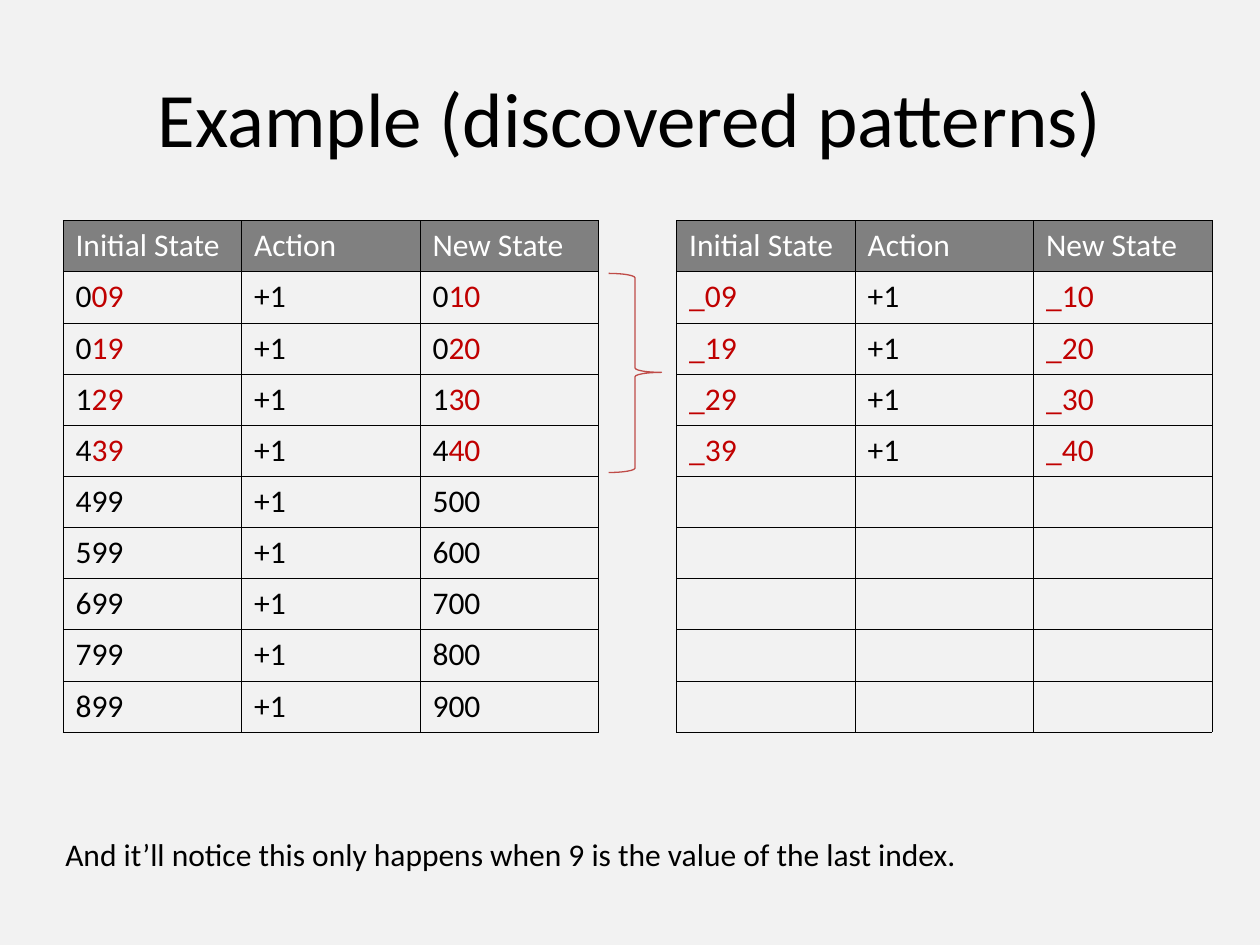
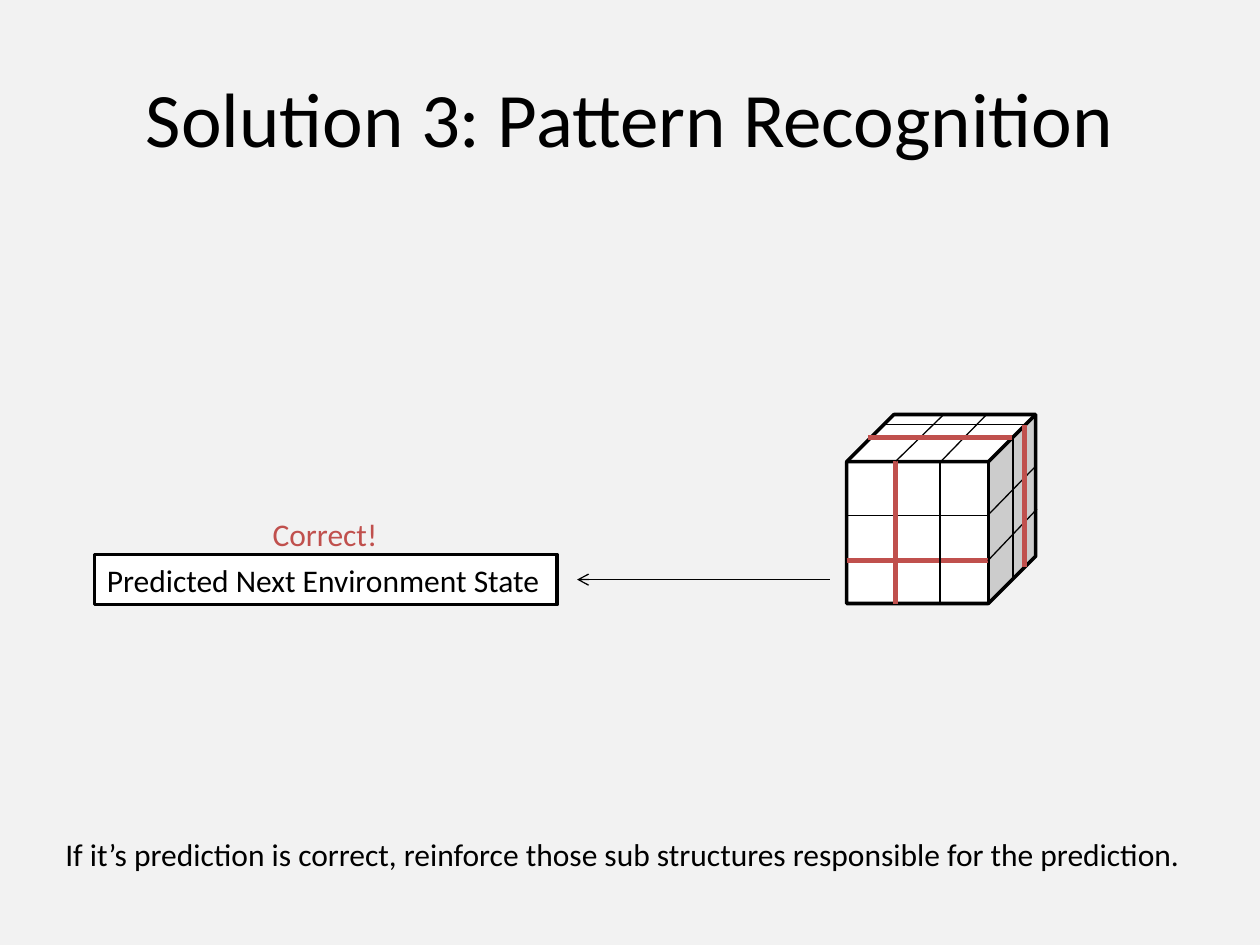
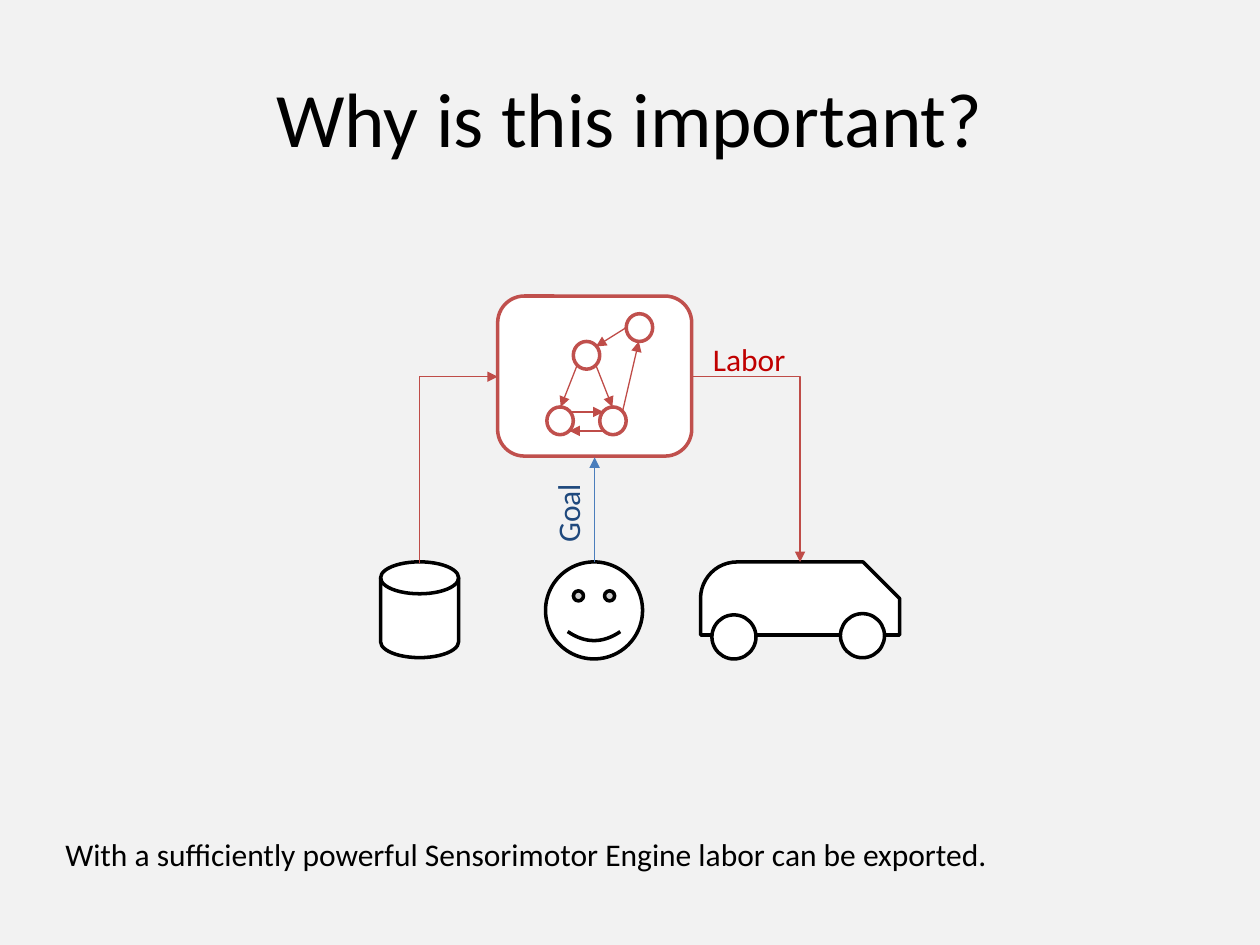
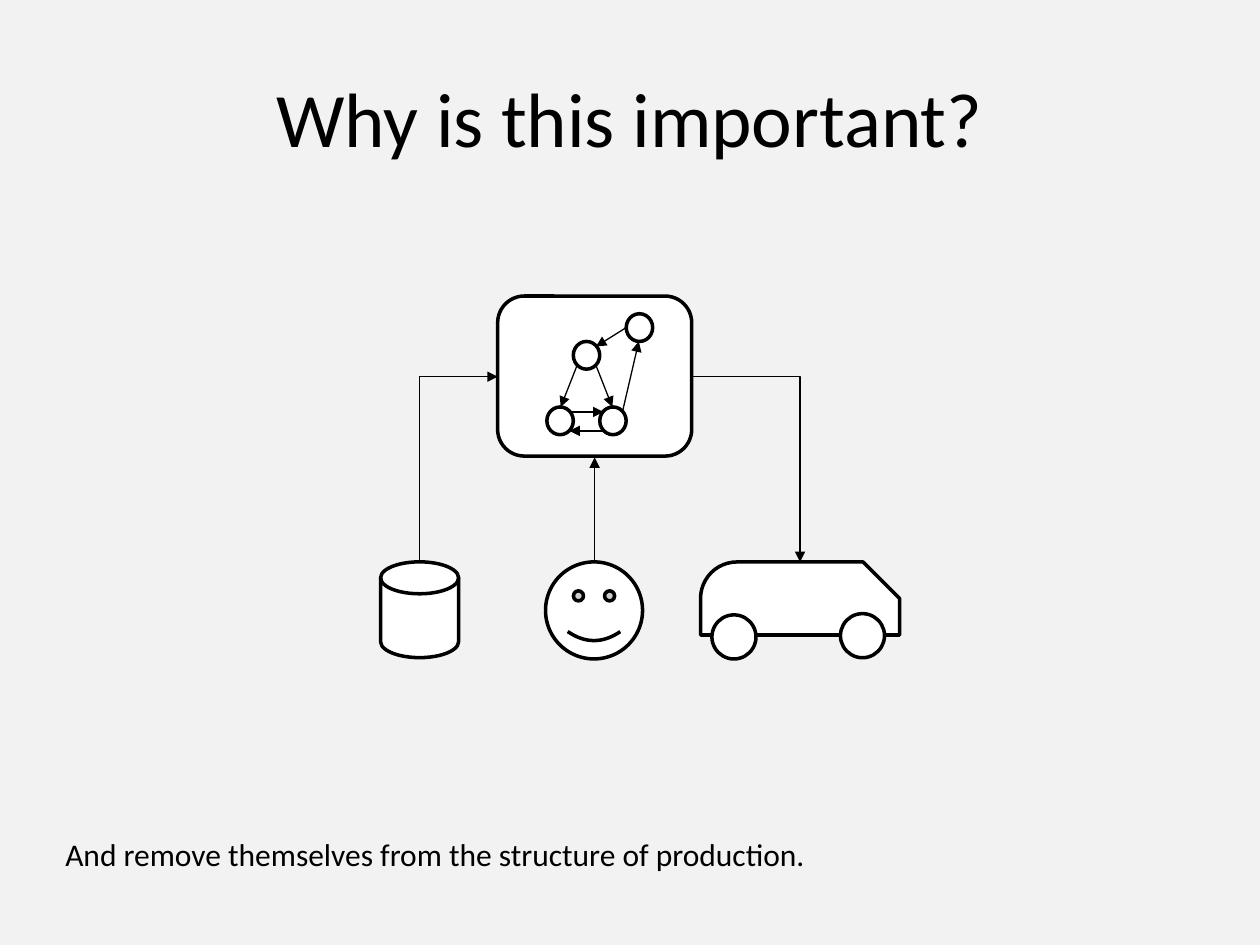
from lxml import etree
from pptx import Presentation
from pptx.dml.color import RGBColor
from pptx.enum.shapes import MSO_CONNECTOR, MSO_SHAPE
from pptx.enum.text import MSO_ANCHOR, MSO_AUTO_SIZE, PP_ALIGN
from pptx.oxml.ns import qn
from pptx.util import Inches, Pt

STRAIGHT, ELBOW = MSO_CONNECTOR.STRAIGHT, MSO_CONNECTOR.ELBOW
LEFT, CENTER = PP_ALIGN.LEFT, PP_ALIGN.CENTER
TOP, MIDDLE = MSO_ANCHOR.TOP, MSO_ANCHOR.MIDDLE
GROW, FIXED = MSO_AUTO_SIZE.SHAPE_TO_FIT_TEXT, MSO_AUTO_SIZE.NONE
RECTANGLE, ROUNDED = MSO_SHAPE.RECTANGLE, MSO_SHAPE.ROUNDED_RECTANGLE
CUBE, BRACE, CIRCLE = MSO_SHAPE.CUBE, MSO_SHAPE.LEFT_BRACE, MSO_SHAPE.OVAL
DISK, NODE = MSO_SHAPE.FLOWCHART_MAGNETIC_DISK, MSO_SHAPE.FLOWCHART_CONNECTOR
SMILEY, VAN_BODY = MSO_SHAPE.SMILEY_FACE, MSO_SHAPE.SNIP_ROUND_RECTANGLE

FONT = "Calibri"
PAGE, WHITE, BLACK, GRAY = "F2F2F2", "FFFFFF", "000000", "808080"
DARK_RED, RED, LINE_RED = "C00000", "C0504D", "BF4C48"
NAVY, LINE_BLUE = "1F497D", "4B7EBC"

color = RGBColor.from_string


def add_part(slide, kind, at, text="", ink=BLACK, size=18, fill=WHITE, outline=BLACK,
             weight=2, adjust=(), align=LEFT, anchor=TOP, fit=GROW, wrap=True):
    """Add a preset shape, or a plain text box when kind is None."""
    place = [Inches(length) for length in at]
    if kind is None:
        part = slide.shapes.add_textbox(*place)
    else:
        part = slide.shapes.add_shape(kind, *place)
        part.shadow.inherit = False
        if fill:
            part.fill.solid()
            part.fill.fore_color.rgb = color(fill)
        else:
            part.fill.background()
        part.line.color.rgb = color(outline)
        part.line.width = Pt(weight)
        for index, value in enumerate(adjust):
            part.adjustments[index] = value
    if text:
        frame = part.text_frame
        frame.word_wrap, frame.auto_size = wrap, fit
        frame.vertical_anchor = anchor
        frame.paragraphs[0].alignment = align
        run = frame.paragraphs[0].add_run()
        run.text = text
        run.font.name, run.font.size = FONT, Pt(size)
        run.font.color.rgb = color(ink)
    return part


def add_line(slide, x1, y1, x2, y2, ink=BLACK, weight=0.75, head=None, tail=None, kind=STRAIGHT):
    line = slide.shapes.add_connector(kind, Inches(x1), Inches(y1), Inches(x2), Inches(y2))
    line.line.color.rgb = color(ink)
    line.line.width = Pt(weight)
    properties = line._element.spPr
    for end, arrow in (("a:headEnd", head), ("a:tailEnd", tail)):
        if arrow:
            etree.SubElement(properties.find(qn("a:ln")), qn(end), type=arrow)
    etree.SubElement(properties, qn("a:effectLst"))
    if kind == ELBOW:
        properties.find(qn("a:prstGeom")).set("prst", "bentConnector2")
    return line


prs = Presentation()
prs.slide_width, prs.slide_height = Inches(10), Inches(7.5)
prs.slide_master.background.fill.solid()
prs.slide_master.background.fill.fore_color.rgb = color(PAGE)

# Titles and captions
slides = []
for title, caption in [
    ("Example (discovered patterns)",
     "And it’ll notice this only happens when 9 is the value of the last index."),
    ("Solution 3: Pattern Recognition",
     "If it’s prediction is correct, reinforce those sub structures responsible for the prediction."),
    ("Why is this important?",
     "With a sufficiently powerful Sensorimotor Engine labor can be exported."),
    ("Why is this important?",
     "And remove themselves from the structure of production."),
]:
    slide = prs.slides.add_slide(prs.slide_layouts[6])
    add_part(slide, None, (0.5, 0.3, 9, 1.25), title, size=44, align=CENTER, anchor=MIDDLE, fit=FIXED)
    add_part(slide, None, (0.42, 6.58, 9.17, 0.4), caption)
    slides.append(slide)
example, recognition, exported, removed = slides

# Slide 1: observed transitions and the patterns found in them
header = [[(name, WHITE)] for name in ("Initial State", "Action", "New State")]
plus_one = [("+1", BLACK)]
patterns = [("0", "09", "10"), ("0", "19", "20"), ("1", "29", "30"), ("4", "39", "40")]
observed = [header]
discovered = [header]
for prefix, before, after in patterns:
    observed.append([[(prefix, BLACK), (before, DARK_RED)], plus_one,
                     [(prefix, BLACK), (after, DARK_RED)]])
    discovered.append([[("_" + before, DARK_RED)], plus_one, [("_" + after, DARK_RED)]])
for hundreds in range(4, 9):
    observed.append([[(f"{hundreds}99", BLACK)], plus_one, [(f"{hundreds + 1}00", BLACK)]])
    discovered.append([[], [], []])

for left, rows in ((0.5, observed), (5.37, discovered)):
    table = example.shapes.add_table(len(rows), 3, Inches(left), Inches(1.75),
                                     Inches(4.25), Inches(4.06)).table
    table.first_row = table.horz_banding = False
    for r, row in enumerate(rows):
        for c, runs in enumerate(row):
            cell = table.cell(r, c)
            for side in ("a:lnL", "a:lnR", "a:lnT", "a:lnB"):
                border = etree.SubElement(cell._tc.get_or_add_tcPr(), qn(side), w=str(Pt(0.25)))
                paint = etree.SubElement(border, qn("a:solidFill"))
                etree.SubElement(paint, qn("a:srgbClr"), val=BLACK)
            if r == 0:
                cell.fill.solid()
                cell.fill.fore_color.rgb = color(GRAY)
            else:
                cell.fill.background()
            for text, ink in runs:
                run = cell.text_frame.paragraphs[0].add_run()
                run.text = text
                run.font.name, run.font.size = FONT, Pt(18)
                run.font.color.rgb = color(ink)

brace = add_part(example, BRACE, (4.83, 2.17, 0.42, 1.58), fill=None, outline=LINE_RED,
                 weight=0.75, adjust=(0.083, 0.497))
brace._element.spPr.xfrm.set("flipH", "1")

# Slide 2: cube of sub structures and its prediction
add_part(recognition, CUBE, (6.72, 3.29, 1.5, 1.5))
for x1, y1, x2, y2, ink, weight in [
    (6.72, 4.45, 7.84, 4.45, RED, 3),
    (6.72, 4.09, 7.84, 4.09, BLACK, 0.25),
    (7.84, 4.09, 8.22, 3.7, BLACK, 0.75),
    (7.84, 4.45, 8.23, 4.04, BLACK, 0.75),
    (7.46, 4.79, 7.46, 3.66, BLACK, 0.75),
    (7.11, 3.66, 7.11, 4.79, RED, 3),
    (7.11, 3.66, 7.49, 3.29, BLACK, 0.75),
    (7.47, 3.66, 7.83, 3.29, BLACK, 0.75),
    (7, 3.37, 8.13, 3.37, BLACK, 0.75),
    (6.89, 3.47, 8.03, 3.47, RED, 3),
    (8.04, 4.6, 8.04, 3.47, BLACK, 0.75),
    (8.13, 4.5, 8.13, 3.37, RED, 3),
]:
    add_line(recognition, x1, y1, x2, y2, ink, weight)
add_line(recognition, 4.58, 4.6, 6.59, 4.6, head="arrow")
add_part(recognition, RECTANGLE, (0.75, 4.4, 3.67, 0.4), "Predicted Next Environment State")
add_part(recognition, None, (2.06, 4.04, 1.04, 0.4), "Correct!", RED, align=CENTER, wrap=False)

# Slides 3 and 4: the engine between data, person and van
add_part(exported, None, (5.56, 2.65, 0.78, 0.4), "Labor", DARK_RED, wrap=False)
goal = add_part(exported, None, (4.17, 3.87, 0.67, 0.4), "Goal", NAVY, wrap=False)
goal.rotation = 270

for slide, engine_ink, flow_ink, goal_ink in (
    (exported, RED, LINE_RED, LINE_BLUE),
    (removed, BLACK, BLACK, BLACK),
):
    add_part(slide, DISK, (3.02, 4.46, 0.62, 0.76))
    add_part(slide, SMILEY, (4.33, 4.46, 0.77, 0.77), adjust=(0.047,))
    # Turned a quarter, this elbow runs up from the disk and right into the engine
    data_flow = add_line(slide, 4.38, 4.04, 2.9, 3.42, flow_ink, tail="triangle", kind=ELBOW)
    data_flow._element.spPr.xfrm.set("rot", "5400000")
    add_part(slide, VAN_BODY, (5.56, 4.46, 1.58, 0.58), adjust=(0.5, 0.5))
    add_line(slide, 5.49, 2.99, 6.35, 4.46, flow_ink, tail="triangle", kind=ELBOW)
    for x, y in ((5.65, 4.88), (6.67, 4.87)):
        add_part(slide, CIRCLE, (x, y, 0.35, 0.35))
    add_part(slide, ROUNDED, (3.95, 2.35, 1.54, 1.27), outline=engine_ink)
    for x, y in ((4.55, 2.71), (4.76, 3.23), (4.34, 3.23), (4.97, 2.49)):
        add_part(slide, NODE, (x, y, 0.21, 0.22), outline=engine_ink)
    for ends in [
        (4.73, 2.9, 4.86, 3.23),
        (4.58, 2.9, 4.45, 3.23),
        (4.52, 3.27, 4.79, 3.27),
        (4.79, 3.42, 4.52, 3.42),
        (4.94, 3.27, 5.07, 2.71),
        (4.97, 2.6, 4.73, 2.75),
    ]:
        add_line(slide, *ends, flow_ink, tail="triangle")
    add_line(slide, 4.72, 4.46, 4.72, 3.63, goal_ink, tail="triangle")

prs.save("out.pptx")
